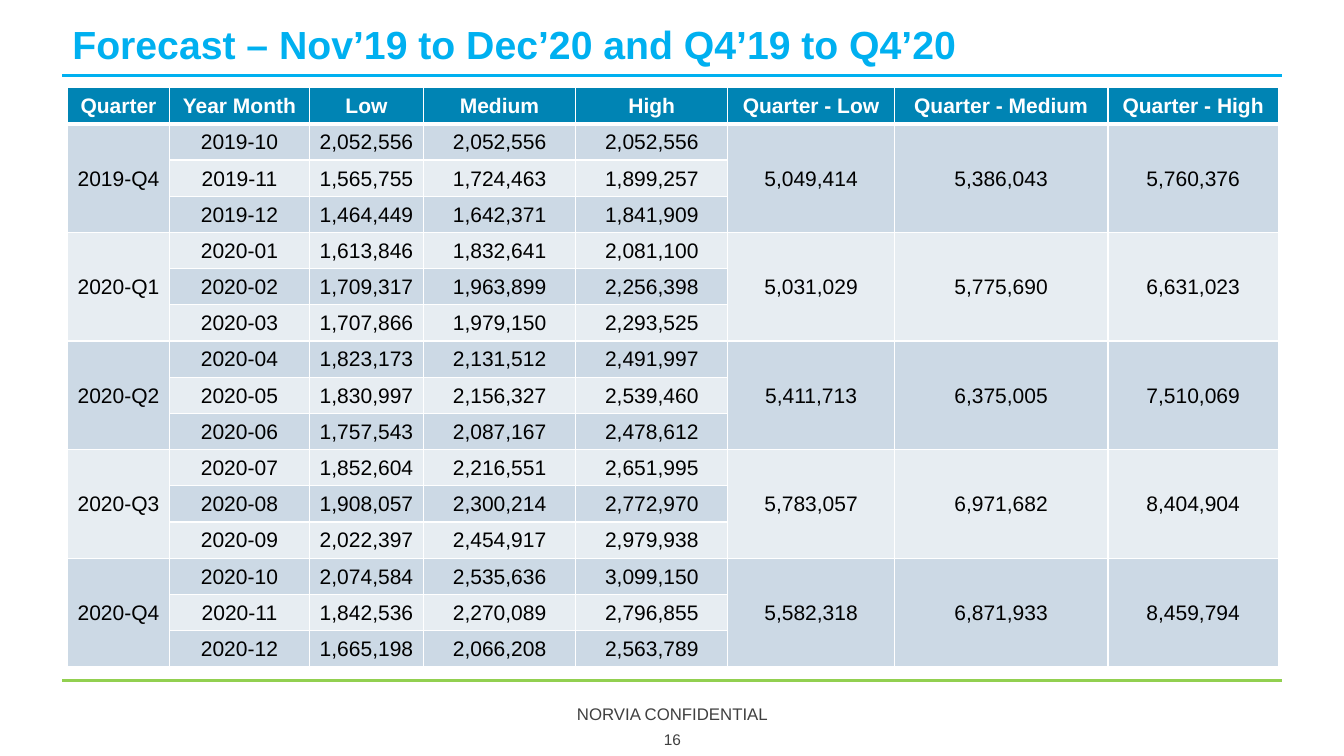
from lxml.etree import SubElement
from pptx import Presentation
from pptx.dml.color import RGBColor
from pptx.enum.shapes import MSO_CONNECTOR
from pptx.enum.text import MSO_ANCHOR as ANCHOR, PP_ALIGN as ALIGN
from pptx.oxml import parse_xml
from pptx.oxml.ns import nsdecls, qn
from pptx.util import Pt

PX = 9144  # 100 px to the inch
FONT = "Arial"
SKY, GREEN, GREY = "00B0F0", "92D050", "404040"
WHITE, BLACK, HEADER = "FFFFFF", "000000", "0084B4"
BANDS = ("CCD9E5", "E7EDF2")

HEADINGS = ("Quarter", "Year Month", "Low", "Medium", "High",
            "Quarter - Low", "Quarter - Medium", "Quarter - High")
COL_WIDTHS = (101, 139, 113, 151, 151, 165, 212, 169)
QUARTER_COLS = (0, 5, 6, 7)
# Year, quarter, monthly (low, medium, high), quarterly (low, medium, high)
FORECAST = (
    (2019, 4, ((2052556, 2052556, 2052556),
               (1565755, 1724463, 1899257),
               (1464449, 1642371, 1841909)), (5049414, 5386043, 5760376)),
    (2020, 1, ((1613846, 1832641, 2081100),
               (1709317, 1963899, 2256398),
               (1707866, 1979150, 2293525)), (5031029, 5775690, 6631023)),
    (2020, 2, ((1823173, 2131512, 2491997),
               (1830997, 2156327, 2539460),
               (1757543, 2087167, 2478612)), (5411713, 6375005, 7510069)),
    (2020, 3, ((1852604, 2216551, 2651995),
               (1908057, 2300214, 2772970),
               (2022397, 2454917, 2979938)), (5783057, 6971682, 8404904)),
    (2020, 4, ((2074584, 2535636, 3099150),
               (1842536, 2270089, 2796855),
               (1665198, 2066208, 2563789)), (5582318, 6871933, 8459794)),
)


def rgb(color):
    return RGBColor.from_string(color)


def style_text(p, size, color, bold=False, align=ALIGN.CENTER):
    p.alignment = align
    p.font.name, p.font.size, p.font.bold = FONT, Pt(size), bold
    p.font.color.rgb = rgb(color)


def add_text(slide, box, text, size, color, anchor=ANCHOR.MIDDLE, **style):
    tf = slide.shapes.add_textbox(*(v * PX for v in box)).text_frame
    tf.word_wrap = True
    tf.vertical_anchor = anchor
    p = tf.paragraphs[0]
    p.text = text
    style_text(p, size, color, **style)
    return p


def add_rule(slide, x, y, width, color):
    line = slide.shapes.add_connector(
        MSO_CONNECTOR.STRAIGHT, x * PX, y * PX, (x + width) * PX, y * PX)
    line.line.color.rgb = rgb(color)
    line.line.width = Pt(2.25)
    SubElement(line._element.spPr, qn("a:effectLst"))


def set_borders(cell, top, bottom):
    tc_pr = cell._tc.get_or_add_tcPr()
    sides = (("L", 1), ("R", 1), ("T", top), ("B", bottom))
    for i, (side, width) in enumerate(sides):
        tc_pr.insert(i, parse_xml(
            f'<a:ln{side} {nsdecls("a")} w="{Pt(width)}"><a:solidFill>'
            f'<a:srgbClr val="{WHITE}"/></a:solidFill></a:ln{side}>'))


def fill_cell(cell, text, fill, color=BLACK, bold=False, top=1, bottom=1):
    cell.fill.solid()
    cell.fill.fore_color.rgb = rgb(fill)
    cell.margin_left = cell.margin_right = cell.margin_top = PX
    cell.margin_bottom = 0
    cell.vertical_anchor = ANCHOR.MIDDLE
    p = cell.text_frame.paragraphs[0]
    p.text = text
    style_text(p, 15, color, bold)
    set_borders(cell, top, bottom)


def add_header(slide, x, y, width, height):
    p = add_text(slide, (x, y, 1174, 60),
                 "Forecast – Nov’19 to Dec’20 and Q4’19 to Q4’20",
                 28, SKY, ANCHOR.BOTTOM, bold=True, align=ALIGN.LEFT)
    p.line_spacing = 0.9
    add_rule(slide, x, y + height, width, SKY)


def add_forecast_table(slide, x, y, width, height):
    rows = 1 + sum(len(months) for _, _, months, _ in FORECAST)
    table = slide.shapes.add_table(
        rows, len(HEADINGS), x * PX, y * PX, width * PX, height * PX).table
    table.horz_banding = False
    for column, w in zip(table.columns, COL_WIDTHS):
        column.width = w * PX
    for row in table.rows:
        row.height = height * PX // rows

    for c, heading in enumerate(HEADINGS):
        fill_cell(table.cell(0, c), heading, HEADER, WHITE, True, bottom=3)

    r = 1
    for year, quarter, months, totals in FORECAST:
        first = r
        for i, values in enumerate(months):
            month = 3 * (quarter - 1) + i + 1
            texts = [f"{year}-Q{quarter}", f"{year}-{month:02}"]
            texts += [f"{v:,}" for v in values + totals]
            for c, text in enumerate(texts):
                covered = i > 0 and c in QUARTER_COLS
                fill_cell(table.cell(r, c), "" if covered else text,
                          BANDS[(r - 1) % 2], top=3 if r == 1 else 1)
            r += 1
        for c in QUARTER_COLS:
            table.cell(first, c).merge(table.cell(r - 1, c))


def add_footer(slide, x, y, width):
    add_rule(slide, x, y, width, GREEN)
    middle = x + width // 2
    add_text(slide, (middle - 225, y + 18, 450, 30),
             "NORVIA CONFIDENTIAL", 12, GREY)
    add_text(slide, (middle - 55, y + 46, 110, 25), "16", 11, GREY)


def main():
    prs = Presentation()
    prs.slide_width, prs.slide_height = 1333 * PX, 750 * PX
    slide = prs.slides.add_slide(prs.slide_layouts[6])
    add_header(slide, 62, 12, 1210, 63)
    add_forecast_table(slide, 67, 87, sum(COL_WIDTHS), 575)
    add_footer(slide, 62, 675, 1210)
    prs.save("out.pptx")


if __name__ == "__main__":
    main()
